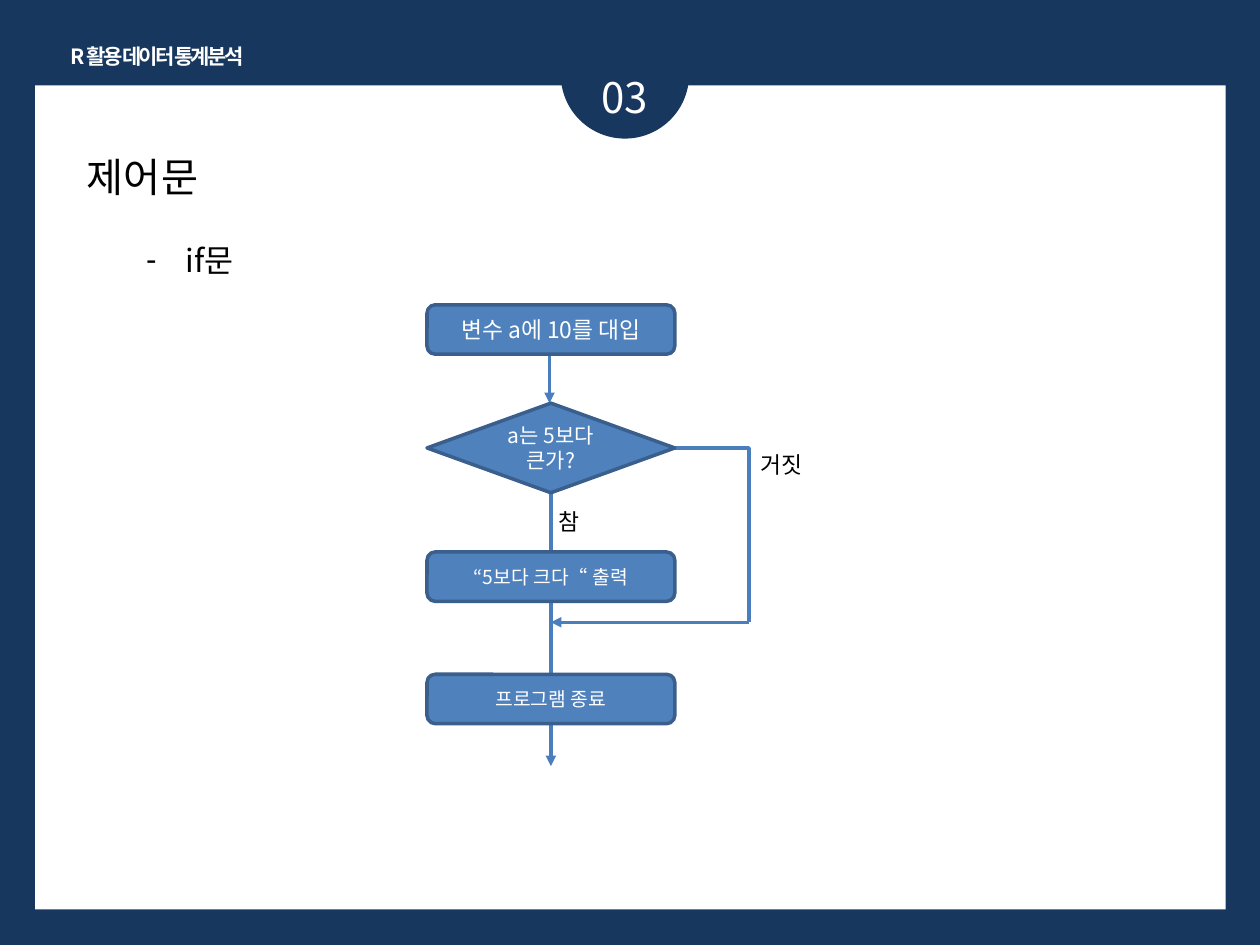
from dataclasses import dataclass

from lxml import etree
from pptx import Presentation
from pptx.dml.color import RGBColor
from pptx.enum.shapes import MSO_CONNECTOR, MSO_SHAPE
from pptx.enum.text import MSO_ANCHOR, MSO_AUTO_SIZE, PP_ALIGN
from pptx.oxml.ns import qn
from pptx.util import Pt

RECTANGLE = MSO_SHAPE.RECTANGLE
OVAL = MSO_SHAPE.OVAL
DIAMOND = MSO_SHAPE.DIAMOND
ROUNDED = MSO_SHAPE.ROUNDED_RECTANGLE
STRAIGHT = MSO_CONNECTOR.STRAIGHT
ELBOW = MSO_CONNECTOR.ELBOW
LEFT = PP_ALIGN.LEFT
CENTER = PP_ALIGN.CENTER
TOP = MSO_ANCHOR.TOP
MIDDLE = MSO_ANCHOR.MIDDLE
NO_AUTOFIT = MSO_AUTO_SIZE.NONE

FONT = "Noto Sans CJK KR"
NAVY = "17375E"
WHITE = "FFFFFF"
BLACK = "000000"
BLUE = "4F81BD"
OUTLINE = "3A5F8C"
ARROW = "4B7EBC"

NODE_LEFT = 244
NODE_WIDTH = 141.6
AXIS = NODE_LEFT + NODE_WIDTH / 2
BOX_HEIGHT = 28.2
DECISION_TOP = 230.4
DECISION_HEIGHT = 51.2
DECISION_MIDDLE = DECISION_TOP + DECISION_HEIGHT / 2
BRANCH_X = 428
MERGE_Y = 355.6
FLOW_END = 437.8


@dataclass
class Box:
    left: float
    top: float
    width: float
    height: float


@dataclass
class Node:
    kind: MSO_SHAPE
    top: float
    height: float
    text: str
    size: float


@dataclass
class Link:
    start: tuple[float, float]
    end: tuple[float, float]
    arrow: bool = True
    bent: bool = False


@dataclass
class Label:
    box: Box
    text: str
    size: float
    color: str
    align: PP_ALIGN = LEFT
    wrap: bool = True
    bold: bool = False
    spacing: float = 0


NODES = [
    Node(ROUNDED, 174.2, BOX_HEIGHT, "변수 a에 10를 대입", 13),
    Node(DIAMOND, DECISION_TOP, DECISION_HEIGHT, "a는 5보다 큰가?", 12),
    Node(ROUNDED, 315.4, BOX_HEIGHT, "“5보다 크다“ 출력", 11),
    Node(ROUNDED, 385.3, BOX_HEIGHT, "프로그램 종료", 11),
]
LINKS = [
    Link((AXIS - 0.8, 203.6), (AXIS - 0.8, DECISION_TOP)),
    Link((AXIS, DECISION_TOP + DECISION_HEIGHT), (AXIS, FLOW_END)),
    Link((NODE_LEFT + NODE_WIDTH, DECISION_MIDDLE), (BRANCH_X, MERGE_Y),
         arrow=False, bent=True),
    Link((BRANCH_X, MERGE_Y), (AXIS, MERGE_Y)),
]
LABELS = [
    Label(Box(27.4, 21.6, 124.6, 21.6), "R 활용 데이터 통계분석", 12, WHITE,
          CENTER, wrap=False, bold=True, spacing=-1.5),
    Label(Box(314.6, 37.4, 85, 36), "03", 24, WHITE, CENTER),
    Label(Box(311.8, 286.6, 25.2, 23), "참", 13, BLACK),
    Label(Box(427.7, 254.2, 48.2, 23), "거짓", 13, BLACK),
]


def rgb(color: str) -> RGBColor:
    return RGBColor.from_string(color)


def place(shape, box: Box) -> None:
    shape.left, shape.top = Pt(box.left), Pt(box.top)
    shape.width, shape.height = Pt(box.width), Pt(box.height)


def write(shape, text: str, size: float, color: str, align: PP_ALIGN,
          anchor: MSO_ANCHOR = TOP, wrap: bool = True, bold: bool = False,
          spacing: float = 0) -> None:
    frame = shape.text_frame
    frame.text = text
    frame.word_wrap = wrap
    frame.auto_size = NO_AUTOFIT
    frame.vertical_anchor = anchor
    paragraph = frame.paragraphs[0]
    paragraph.alignment = align
    paragraph.space_before = Pt(0)
    for run in paragraph.runs:
        run.font.name = FONT
        run.font.size = Pt(size)
        run.font.bold = bold
        run.font.color.rgb = rgb(color)
        properties = run.font._element
        etree.SubElement(properties, qn("a:ea")).set("typeface", FONT)
        if spacing:
            properties.set("spc", str(int(spacing * 100)))


def add_filled(slide, kind: MSO_SHAPE, box: Box, fill: str, outline: str = ""):
    shape = slide.shapes.add_shape(kind, Pt(box.left), Pt(box.top),
                                   Pt(box.width), Pt(box.height))
    shape.shadow.inherit = False
    shape.fill.solid()
    shape.fill.fore_color.rgb = rgb(fill)
    if outline:
        shape.line.color.rgb = rgb(outline)
        shape.line.width = Pt(2)
    else:
        shape.line.fill.background()
    return shape


def add_node(slide, node: Node) -> None:
    box = Box(NODE_LEFT, node.top, NODE_WIDTH, node.height)
    shape = add_filled(slide, node.kind, box, BLUE, OUTLINE)
    write(shape, node.text, node.size, WHITE, CENTER, MIDDLE)


def add_link(slide, link: Link) -> None:
    connector = slide.shapes.add_connector(
        ELBOW if link.bent else STRAIGHT,
        *(Pt(value) for value in link.start + link.end))
    connector.line.color.rgb = rgb(ARROW)
    connector.line.width = Pt(2)
    properties = connector._element.spPr
    if link.bent:
        properties.find(qn("a:prstGeom")).set("prst", "bentConnector2")
    if link.arrow:
        line = properties.find(qn("a:ln"))
        etree.SubElement(line, qn("a:tailEnd")).set("type", "triangle")
    etree.SubElement(properties, qn("a:effectLst"))


def add_label(slide, label: Label) -> None:
    box = label.box
    shape = slide.shapes.add_textbox(Pt(box.left), Pt(box.top),
                                     Pt(box.width), Pt(box.height))
    write(shape, label.text, label.size, label.color, label.align,
          wrap=label.wrap, bold=label.bold, spacing=label.spacing)


def fill_placeholders(slide) -> None:
    title, body = slide.placeholders
    place(title, Box(42.5, 83.5, 629.3, 35.3))
    write(title, "제어문", 23, BLACK, LEFT)
    place(body, Box(76.3, 133.9, 566.6, 28.8))
    write(body, "if문", 18, BLACK, LEFT)
    properties = body.text_frame.paragraphs[0]._p.get_or_add_pPr()
    properties.set("marL", str(Pt(22.5)))
    properties.set("indent", str(Pt(-22.5)))
    etree.SubElement(properties, qn("a:buChar")).set("char", "-")


def main() -> None:
    presentation = Presentation()
    presentation.slide_width, presentation.slide_height = Pt(720), Pt(540)
    slide = presentation.slides.add_slide(presentation.slide_layouts[1])
    slide.background.fill.solid()
    slide.background.fill.fore_color.rgb = rgb(NAVY)
    fill_placeholders(slide)
    panel = add_filled(slide, RECTANGLE, Box(20, 48.8, 680.4, 470.8), WHITE)
    slide.shapes._spTree.insert(2, panel._element)
    add_filled(slide, OVAL, Box(320.4, 5.8, 73.4, 73.4), NAVY)
    for link in LINKS:
        add_link(slide, link)
    for node in NODES:
        add_node(slide, node)
    for label in LABELS:
        add_label(slide, label)
    presentation.save("out.pptx")


if __name__ == "__main__":
    main()
